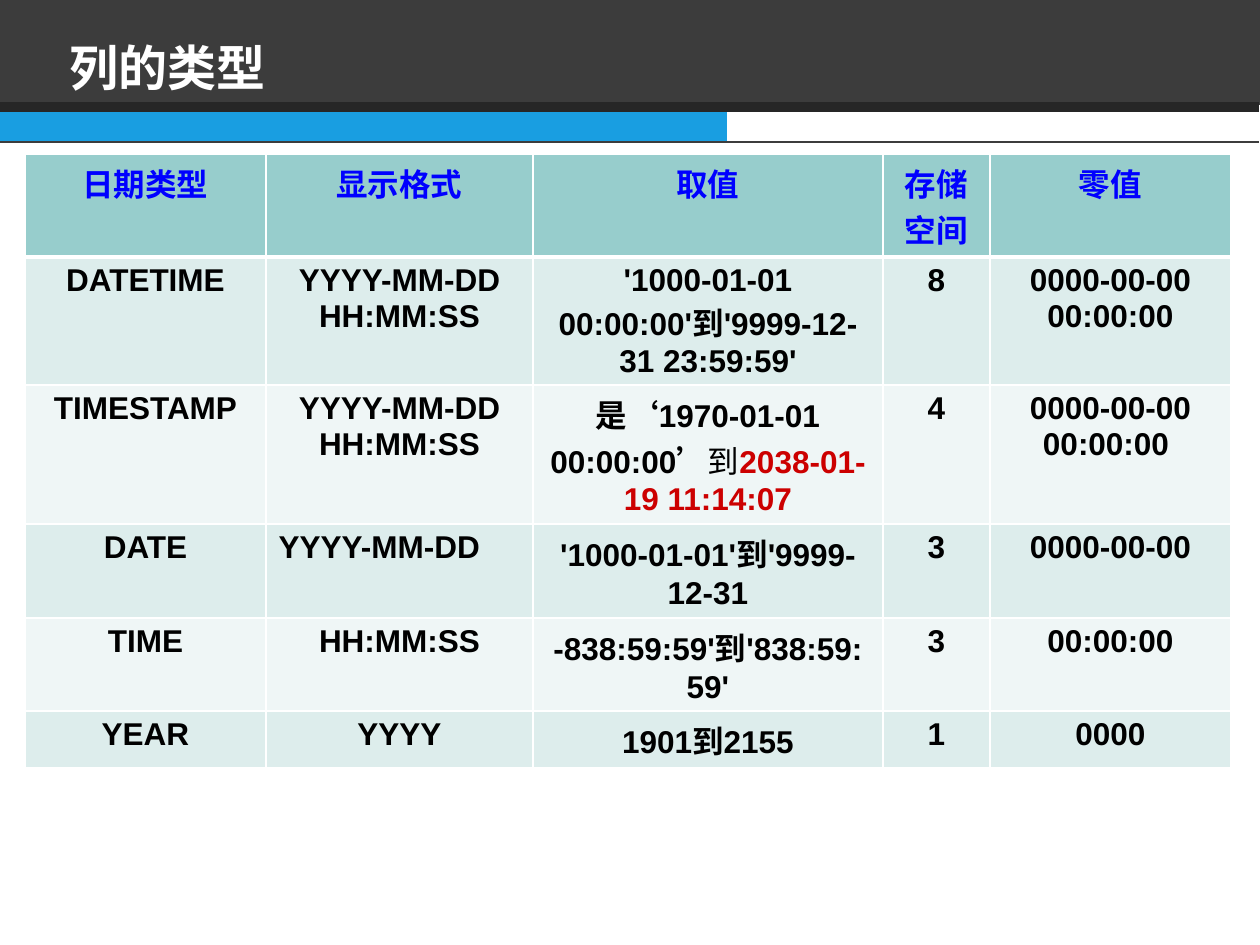
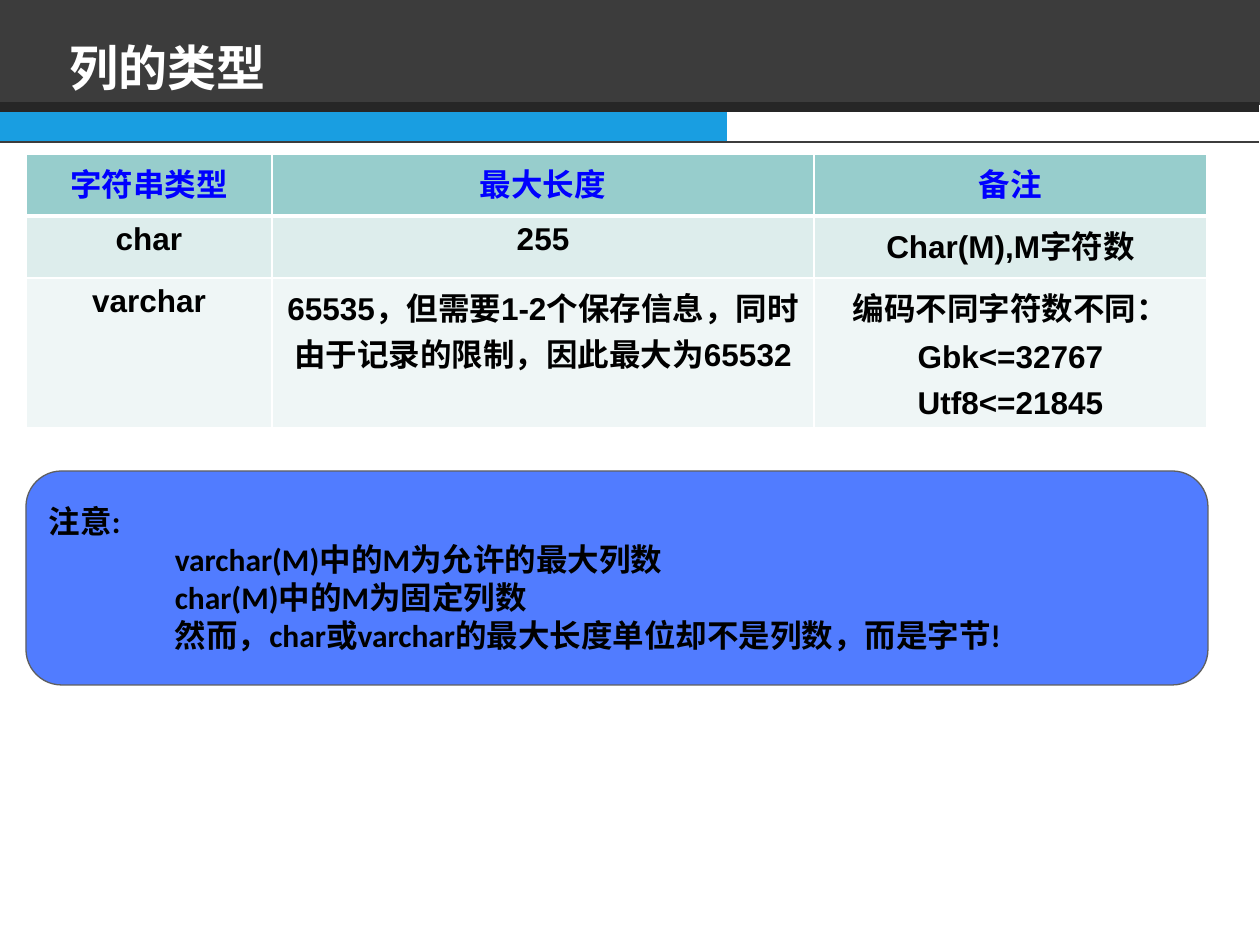
from lxml.etree import SubElement
from pptx import Presentation
from pptx.dml.color import RGBColor
from pptx.enum.shapes import MSO_CONNECTOR, MSO_SHAPE
from pptx.enum.text import MSO_ANCHOR, PP_ALIGN
from pptx.oxml.ns import qn
from pptx.util import Inches, Pt

SCALE = 914400 / 126  # EMU in one px

WHITE = RGBColor(0xFF, 0xFF, 0xFF)
BLACK = RGBColor(0, 0, 0)
DARK = RGBColor(0x3C, 0x3C, 0x3C)
INK = RGBColor(0x26, 0x26, 0x26)
SKY = RGBColor(0x19, 0x9E, 0xE1)
BLUE = RGBColor(0, 0, 0xFF)
RED = RGBColor(0xCC, 0, 0)
NOTE = RGBColor(0x33, 0x66, 0xFF)
GRAY = RGBColor(0x5F, 0x5F, 0x5F)
HEAD = RGBColor(0x97, 0xCD, 0xCC)
BANDS = [RGBColor(0xDD, 0xED, 0xEC), RGBColor(0xEF, 0xF6, 0xF6)]

LATIN, HAN, BODY = "Arial", "Noto Sans CJK SC", "Calibri"

DATES = [
    ["日期类型", "显示格式", "取值", "存储空间", "零值"],
    ["DATETIME", "YYYY-MM-DD HH:MM:SS",
     "'1000-01-01 00:00:00'到'9999-12-31 23:59:59'", "8", "0000-00-00 00:00:00"],
    ["TIMESTAMP", "YYYY-MM-DD HH:MM:SS", "", "4", "0000-00-00 00:00:00 "],
    ["DATE", "YYYY-MM-DD", "'1000-01-01'到'9999-12-31", "3", "0000-00-00"],
    ["TIME", "HH:MM:SS", "-838:59:59'到'838:59:59'", "3", "00:00:00"],
    ["YEAR", "YYYY", "1901到2155", "1", "0000"],
]
# Text, font, colour, bold
STAMP = [
    ("是", LATIN, BLACK, True),
    ("‘", HAN, BLACK, True),
    ("1970-01-01 00:00:00", LATIN, BLACK, True),
    ("’", HAN, BLACK, True),
    ("到", LATIN, BLACK, False),
    ("2038-01-19 11:14:07", LATIN, RED, True),
]
STRINGS = [
    ["字符串类型", "最大长度", "备注"],
    ["char", "255", "Char(M),M字符数"],
    ["varchar", "65535，但需要1-2个保存信息，同时由于记录的限制，因此最大为65532",
     "编码不同字符数不同：\nGbk<=32767\nUtf8<=21845"],
]
ADVICE = [
    "注意:",
    "\tvarchar(M)中的M为允许的最大列数",
    "\tchar(M)中的M为固定列数",
    "\t然而，char或varchar的最大长度单位却不是列数，而是字节!",
]


def px(*vals):
    return [round(v * SCALE) for v in vals]


def style(run, size, face, color, bold=True, asian=HAN):
    font = run.font
    font.size, font.name, font.bold = Pt(size), face, bold
    font.color.rgb = color
    SubElement(font._element, qn("a:ea"), typeface=asian)


def style_all(frame, size, face, color, asian=HAN):
    for para in frame.paragraphs:
        for run in para.runs:
            style(run, size, face, color, asian=asian)


def add_box(slide, kind, box, fill):
    shape = slide.shapes.add_shape(kind, *px(*box))
    shape.shadow.inherit = False
    shape.fill.solid()
    shape.fill.fore_color.rgb = fill
    shape.line.fill.background()
    return shape


def add_rule(slide, y, color, width):
    rule = slide.shapes.add_connector(MSO_CONNECTOR.STRAIGHT, *px(-1, y, 1259, y))
    rule.line.color.rgb = color
    rule.line.width = Pt(width)
    SubElement(rule._element.spPr, qn("a:effectLst"))


def add_page(deck, title):
    slide = deck.slides.add_slide(deck.slide_layouts[6])
    # Title band and rules
    add_box(slide, MSO_SHAPE.RECTANGLE, (-1, -1, 1261, 106), DARK)
    add_box(slide, MSO_SHAPE.RECTANGLE, (-1, 107, 728, 36), SKY)
    add_rule(slide, 142, DARK, 1.5)
    add_rule(slide, 107, INK, 5.5)
    # Title
    frame = slide.shapes.add_textbox(*px(57, 5, 1143, 98)).text_frame
    frame.word_wrap = True
    frame.vertical_anchor = MSO_ANCHOR.BOTTOM
    frame.text = title
    frame.paragraphs[0].line_spacing = 0.9
    style_all(frame, 28, HAN, WHITE)
    return slide


def set_edges(cell, top, bottom):
    props = cell._tc.get_or_add_tcPr()
    edges = [("a:lnL", 1), ("a:lnR", 1), ("a:lnT", top), ("a:lnB", bottom)]
    for spot, (tag, width) in enumerate(edges):
        line = SubElement(props, qn(tag), w=str(Pt(width)))
        fill = SubElement(line, qn("a:solidFill"))
        SubElement(fill, qn("a:srgbClr"), val=str(WHITE))
        props.insert(spot, line)


def fill_cell(cell, text, row):
    cell.fill.solid()
    cell.fill.fore_color.rgb = BANDS[(row - 1) % 2] if row else HEAD
    set_edges(cell, 3 if row == 1 else 1, 1 if row else 3)
    cell.text_frame.text = text
    for para in cell.text_frame.paragraphs:
        para.alignment = PP_ALIGN.CENTER
        para.space_before = Pt(6)
    style_all(cell.text_frame, 18, LATIN, BLACK if row else BLUE)


def add_grid(slide, data, left, cols, rows):
    box = px(left, 154, sum(cols), sum(rows))
    table = slide.shapes.add_table(len(rows), len(cols), *box).table
    for col, width in zip(table.columns, px(*cols)):
        col.width = width
    for row, height in zip(table.rows, px(*rows)):
        row.height = height
    for r, line in enumerate(data):
        for c, text in enumerate(line):
            fill_cell(table.cell(r, c), text, r)
    return table


def add_note(slide, lines):
    shape = add_box(slide, MSO_SHAPE.FLOWCHART_ALTERNATE_PROCESS,
                    (26, 471, 1182, 214), NOTE)
    tint = shape._element.spPr.find(qn("a:solidFill"))[0]
    SubElement(tint, qn("a:alpha"), val="85000")
    shape.line.color.rgb = GRAY
    shape.line.width = Pt(0.75)
    frame = shape.text_frame
    frame.word_wrap = True
    frame.vertical_anchor = MSO_ANCHOR.MIDDLE
    frame.text = "\n".join(lines)
    for para in frame.paragraphs:
        para.alignment = PP_ALIGN.LEFT
        # One tab stop, an inch in
        stops = SubElement(para._p.get_or_add_pPr(), qn("a:tabLst"))
        SubElement(stops, qn("a:tab"), pos=str(Inches(1)), algn="l")
    style_all(frame, 18, BODY, BLACK, asian=BODY)


def main():
    deck = Presentation()
    deck.slide_width, deck.slide_height = px(1260, 945)

    # Date types
    slide = add_page(deck, "列的类型")
    table = add_grid(slide, DATES, 25, [241, 267, 350, 107, 241],
                     [103, 128, 139, 94, 93, 57])
    stamp = table.cell(2, 2).text_frame.paragraphs[0]
    for text, *look in STAMP:
        run = stamp.add_run()
        run.text = text
        style(run, 18, *look)
    day = table.cell(3, 1).text_frame.paragraphs[0]
    day.alignment, day.space_before = PP_ALIGN.LEFT, Pt(0)

    # String types
    slide = add_page(deck, "列的类型")
    add_grid(slide, STRINGS, 26, [246, 542, 393], [62, 62, 150])
    add_note(slide, ADVICE)

    deck.save("out.pptx")


if __name__ == "__main__":
    main()
